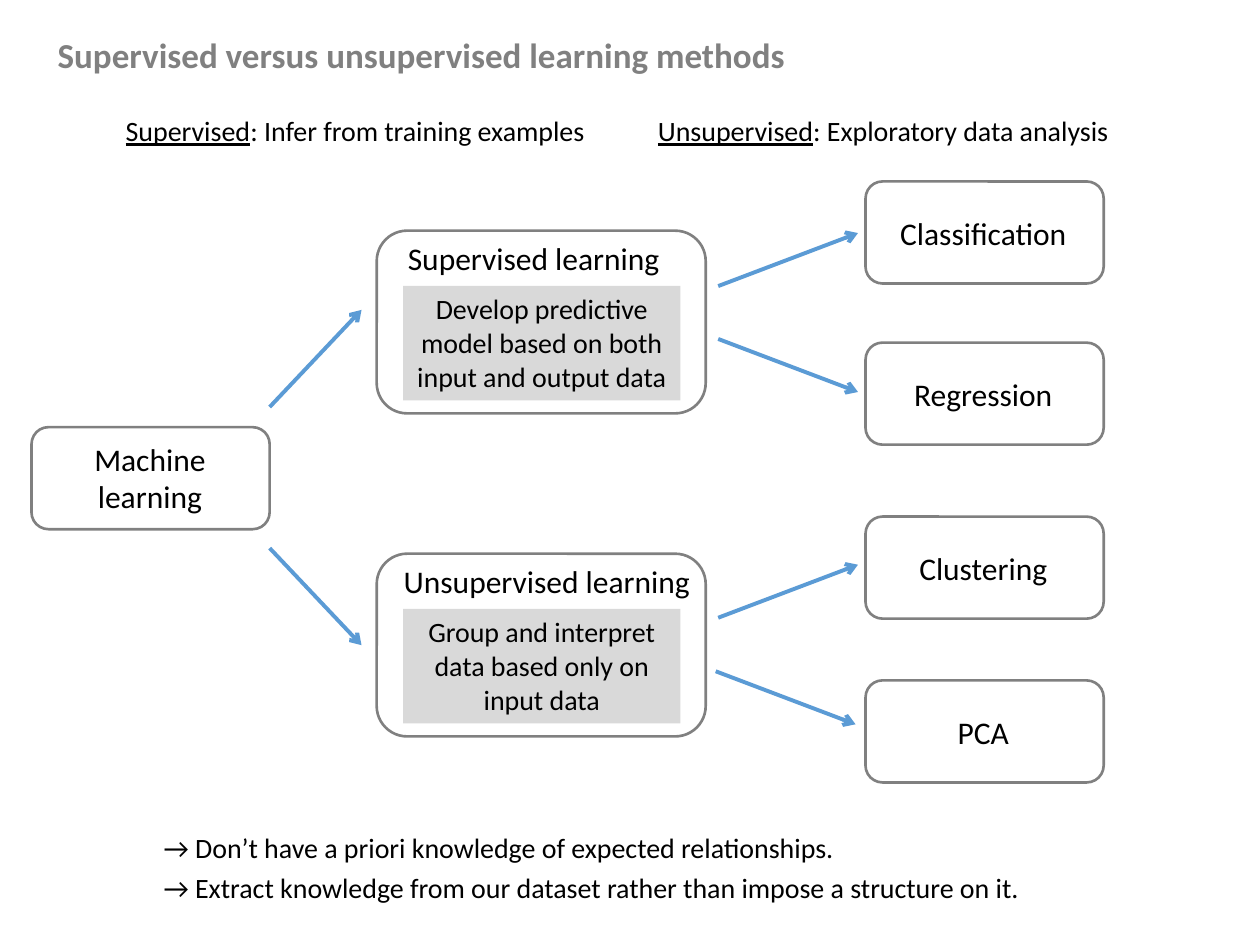
from pptx import Presentation
from pptx.dml.color import RGBColor
from pptx.enum.shapes import MSO_CONNECTOR as Link, MSO_SHAPE as Kind
from pptx.enum.text import MSO_ANCHOR as Anchor, PP_ALIGN as Align
from pptx.oxml.ns import qn
from pptx.util import Pt
from lxml.etree import SubElement


def color(code):
    return RGBColor.from_string(code)


class Page:
    font = "Calibri"
    black, gray, pale, blue = "000000", "808080", "D9D9D9", "5B9BD5"

    def __init__(self, slide):
        self.slide = slide

    def put(self, shape, text, size, ink=black, bold=False, align=Align.CENTER,
            space=None, after=None):
        """Fill a shape with wrapped text, one paragraph per line of text."""
        frame = shape.text_frame
        frame.word_wrap = True
        frame.text = text
        for par in frame.paragraphs:
            par.alignment = align
            par.line_spacing = space
            par.space_after = after
            for run in par.runs:
                self.style(run, size, ink, bold)

    def style(self, run, size, ink, bold=False):
        run.font.name = self.font
        run.font.size = Pt(size)
        run.font.bold = bold
        run.font.color.rgb = color(ink)

    def label(self, text, x, y, w, h, size=18, **look):
        box = self.slide.shapes.add_textbox(Pt(x), Pt(y), Pt(w), Pt(h))
        self.put(box, text, size, **look)
        return box

    def heading(self, term, rest, x):
        """Add a term, underlined, and its meaning."""
        box = self.label(term, x, 61.2, 295.2, 26.6, size=16, after=Pt(6))
        par = box.text_frame.paragraphs[0]
        par.runs[0].font.underline = True
        run = par.add_run()
        run.text = rest
        self.style(run, 16, self.black)

    def frame(self, x, y, w, h):
        """Add a rounded outline."""
        box = self.slide.shapes.add_shape(Kind.ROUNDED_RECTANGLE, Pt(x), Pt(y), Pt(w), Pt(h))
        box.shadow.inherit = False
        box.fill.background()
        box.line.color.rgb = color(self.gray)
        box.line.width = Pt(1.5)

    def panel(self, text, x, y, w, h):
        """Add a shaded rectangle with text."""
        box = self.slide.shapes.add_shape(Kind.RECTANGLE, Pt(x), Pt(y), Pt(w), Pt(h))
        box.shadow.inherit = False
        box.fill.solid()
        box.fill.fore_color.rgb = color(self.pale)
        box.line.fill.background()
        box.text_frame.vertical_anchor = Anchor.TOP
        self.put(box, text, 16)

    def arrow(self, x1, y1, x2, y2):
        line = self.slide.shapes.add_connector(Link.STRAIGHT, Pt(x1), Pt(y1), Pt(x2), Pt(y2))
        line.line.color.rgb = color(self.blue)
        line.line.width = Pt(2.25)
        props = line._element.spPr
        SubElement(props.find(qn("a:ln")), qn("a:tailEnd"), type="arrow")
        SubElement(props, qn("a:effectLst"))


def main():
    deck = Presentation()
    deck.slide_width, deck.slide_height = Pt(720), Pt(540)
    page = Page(deck.slides.add_slide(deck.slide_layouts[6]))

    page.label("Supervised versus unsupervised learning methods", 25.9, 10.8, 657.4, 34.6,
               size=20, ink=page.gray, bold=True, align=Align.LEFT, space=1.2)
    page.heading("Supervised", ": Infer from training examples", 55.4)
    page.heading("Unsupervised", ": Exploratory data analysis", 357.1)

    wide, high = 136.1, 58.3
    page.frame(18, 244.1, wide, high)
    page.label("Machine learning", 31.7, 247.7, 108, 51)

    groups = [
        ("Supervised learning", 166.3,
         "Develop predictive model based on both input and output data"),
        ("Unsupervised learning", 181.4,
         "Group and interpret data based only on input data"),
    ]
    for i, (name, width, goal) in enumerate(groups):
        top = 131.8 + 184.6 * i
        page.frame(215.3, top, 188, 104.4)
        page.label(name, 221.8, top + 1.2, width, 28.8)
        page.panel(goal, 230.4, top + 31.5, 158.4, 65.5)

    leaves = [("Classification", 103.7), ("Regression", 195.8),
              ("Clustering", 295.2), ("PCA", 388.8)]
    for name, top in leaves:
        page.frame(494.6, top, wide, high)
        page.label(name, 498.2, top + 14.9, 127.4, 28.8)

    # Each fork: start x of the upper and lower arrow, middle y, width,
    # and the distance from the middle at the start and at the tip
    forks = [
        ((154.1, 154.1), 272.9, 52.5, 40.3, 95.8),
        ((410.4, 410.4), 178.6, 79.9, 15.1, 45.4),
        ((410.4, 409), 368.3, 79.9, 15.3, 45.6),
    ]
    for starts, mid, run, near, far in forks:
        for x, sign in zip(starts, (-1, 1)):
            page.arrow(x, mid + sign * near, x + run, mid + sign * far)

    page.label("→ Don’t have a priori knowledge of expected relationships.\n"
               "→ Extract knowledge from our dataset rather than impose a structure on it.",
               86.4, 467.3, 547.2, 54, size=16, align=Align.LEFT, space=1.2)

    deck.save("out.pptx")


if __name__ == "__main__":
    main()
